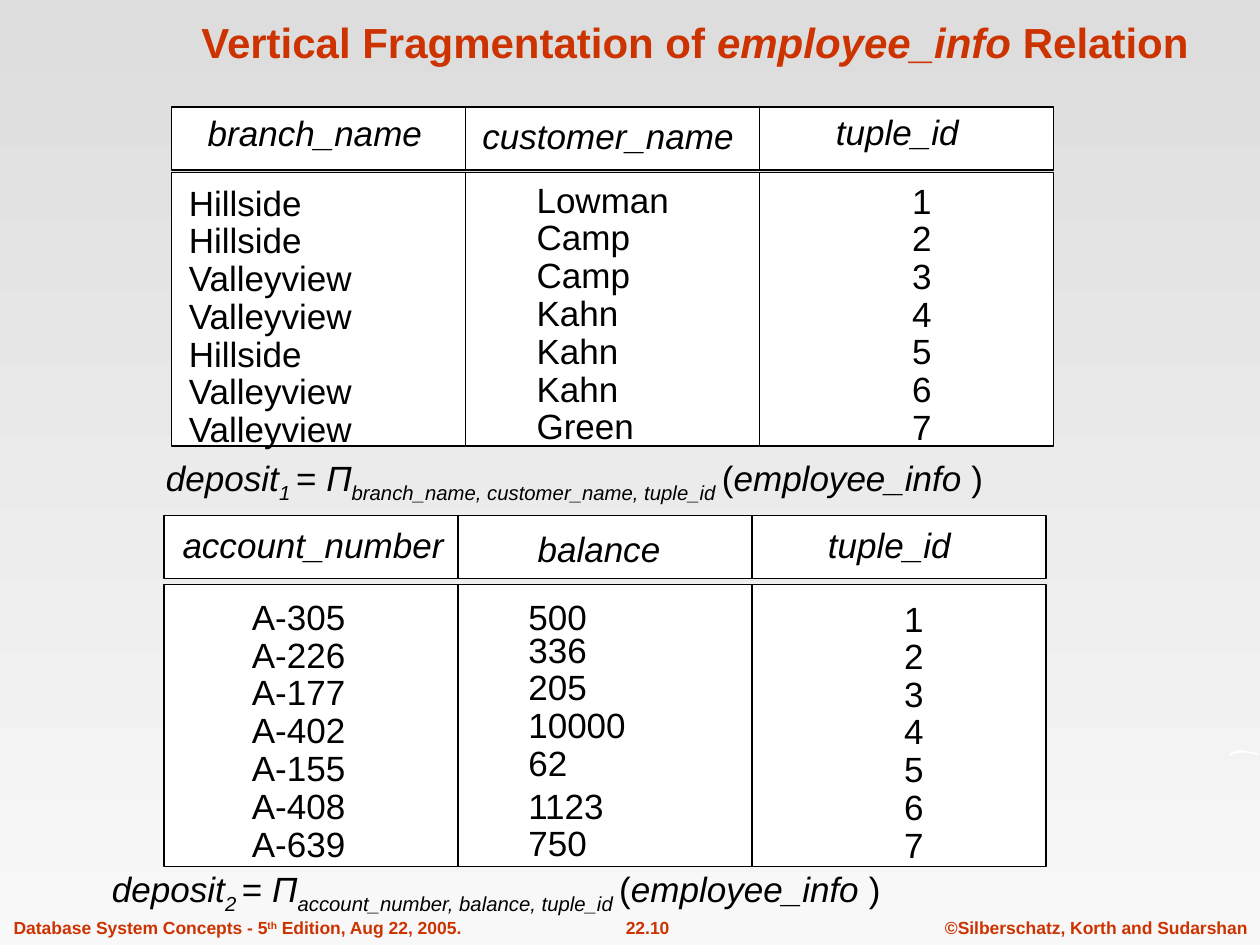
from pptx import Presentation
from pptx.util import Pt
from pptx.dml.color import RGBColor
from pptx.enum import shapes, text

RED = RGBColor(0xCC, 0x33, 0x00)
BLACK = RGBColor(0, 0, 0)
WHITE = RGBColor(0xFF, 0xFF, 0xFF)
TOP = RGBColor(0xDD, 0xDD, 0xDD)
BASE = RGBColor(0xF8, 0xF8, 0xF8)
LEFT, MID = text.PP_ALIGN.LEFT, text.PP_ALIGN.CENTER

# Content: runs are (text, italic, baseline shift in percent)
TITLE = [("Vertical Fragmentation of ", False, 0), ("employee_info ", True, 0),
         ("Relation", False, 0)]
IDS = ["1", "2", "3", "4", "5", "6", "7"]
EVEN = [1] + [0.9] * 6

# Columns: head, (x, y, width) of head, rows, (x, y, width) of rows, spacing
GRIDS = [
    {"x": 98, "head": 61.2, "body": 98.8, "high": 156.2, "cols": [
        ("branch_name", (111.6, 60, 142),
         ["Hillside", "Hillside", "Valleyview", "Valleyview", "Hillside",
          "Valleyview", "Valleyview"], (100.8, 100.2, 114), EVEN),
        ("customer_name", (268.6, 61.9, 164),
         ["Lowman", "Camp", "Camp", "Kahn", "Kahn", "Kahn", "Green"],
         (299.5, 98.6, 96), EVEN),
        ("tuple_id", (470.6, 59.8, 90), IDS, (514.1, 98.9, 30), EVEN)]},
    {"x": 93.7, "head": 294.5, "body": 333.9, "high": 161.3, "cols": [
        ("account_number", (97.2, 295.4, 170),
         ["A-305", "A-226", "A-177", "A-402", "A-155", "A-408", "A-639"],
         (136.8, 337, 74), EVEN),
        ("balance", (300.1, 297.6, 90),
         ["500", "336", "205", "10000", "62", "1123", "750"],
         (294.8, 334.1, 76), [1.1, 0.8, 0.9, 0.9, 0.9, 1, 0.9]),
        ("tuple_id", (466, 295.4, 90), IDS, (509.6, 337.7, 30), EVEN)]},
]
COL, HEAD = 168, 36

# Formulas: number, attributes, (x, y, width)
RULES = [("1", "branch_name, customer_name, tuple_id ", (87.8, 257.3, 573)),
         ("2", "account_number, balance, tuple_id ", (56.9, 492.1, 529))]

# Footer: runs, (x, y, width), alignment
FOOT = [
    ([("Database System Concepts - 5", False, 0), ("th", False, 30),
      (" Edition, Aug 22, 2005.", False, 0)], (0.7, 520.6, 272.9), LEFT),
    ([("22.10", False, 0)], (331.9, 520.6, 76.3), MID),
    ([("©Silberschatz, Korth and Sudarshan", False, 0)],
     (532.8, 520.6, 187.2), MID),
]

# Outline of the white stroke at the right edge
STROKE = [(702, 432.7), (703.4, 430.2), (706.3, 429), (709.2, 428.6),
          (714, 429.5), (718.5, 430.4), (720, 430.8), (718.5, 431.4),
          (715, 430.6), (711.5, 430), (706, 430.3), (703, 432)]


def style(run, size, color, bold=False, ital=False, shift=0):
    font = run.font
    font.name, font.size, font.bold, font.italic = "Arial", Pt(size), bold, ital
    font.color.rgb = color
    if shift:
        run._r.get_or_add_rPr().set("baseline", str(shift * 1000))


def fill_runs(para, runs, size, color, bold=False):
    for words, ital, shift in runs:
        run = para.add_run()
        run.text = words
        style(run, size, color, bold, ital, shift)


def add_box(slide, place, high, wrap=True):
    x, y, wide = place
    frame = slide.shapes.add_textbox(Pt(x), Pt(y), Pt(wide), Pt(high)).text_frame
    frame.word_wrap = wrap
    frame.auto_size = text.MSO_AUTO_SIZE.SHAPE_TO_FIT_TEXT
    return frame


def add_cell(slide, x, y, high):
    cell = slide.shapes.add_shape(shapes.MSO_SHAPE.RECTANGLE,
                                  Pt(x), Pt(y), Pt(COL), Pt(high))
    cell.shadow.inherit = False
    cell.fill.solid()
    cell.fill.fore_color.rgb = WHITE
    cell.line.color.rgb = BLACK
    cell.line.width = Pt(0.75)


def add_lines(slide, place, high, rows, gaps, ital=False):
    frame = add_box(slide, place, high)
    frame.text = "\n".join(rows)
    for para, gap in zip(frame.paragraphs, gaps):
        para.alignment, para.line_spacing = LEFT, gap
        style(para.runs[0], 20, BLACK, ital=ital)


def add_grid(slide, grid):
    for i, (name, spot, rows, place, gaps) in enumerate(grid["cols"]):
        x = grid["x"] + i * COL
        add_cell(slide, x, grid["head"], HEAD)
        add_cell(slide, x, grid["body"], grid["high"])
        add_lines(slide, spot, 31.5, [name], [1], True)
        add_lines(slide, place, 161.3, rows, gaps)


def main():
    prs = Presentation()
    prs.slide_width, prs.slide_height = Pt(720), Pt(540)
    slide = prs.slides.add_slide(prs.slide_layouts[5])

    # Background
    fill = slide.background.fill
    fill.gradient()
    fill.gradient_angle = 270
    for stop, color in zip(fill.gradient_stops, (TOP, BASE)):
        stop.color.rgb = color

    # Footer and edge stroke
    for runs, place, align in FOOT:
        para = add_box(slide, place, 19.4, False).paragraphs[0]
        para.alignment = align
        para.space_before = Pt(6.2)
        fill_runs(para, runs, 10, RED, True)
    pen = slide.shapes.build_freeform(*map(Pt, STROKE[0]))
    pen.add_line_segments([(Pt(x), Pt(y)) for x, y in STROKE[1:]])
    mark = pen.convert_to_shape()
    mark.shadow.inherit = False
    mark.fill.solid()
    mark.fill.fore_color.rgb = WHITE
    mark.line.fill.background()

    # Title
    title = slide.shapes.title
    title.left, title.top, title.width, title.height = map(Pt, (74.2, 0, 645.8, 42))
    frame = title.text_frame
    frame.vertical_anchor = text.MSO_ANCHOR.BOTTOM
    frame.auto_size = text.MSO_AUTO_SIZE.NONE
    para = frame.paragraphs[0]
    para.alignment, para.line_spacing = MID, 0.9
    fill_runs(para, TITLE, 24, RED, True)

    # Fragments and their formulas
    for grid in GRIDS:
        add_grid(slide, grid)
    for num, names, place in RULES:
        runs = [("deposit", True, 0), (num + " ", True, -25), ("= ", False, 0),
                ("Π", True, 0), (names, True, -25), ("(", False, 0),
                ("employee_info ", True, 0), (")", False, 0)]
        fill_runs(add_box(slide, place, 34.6).paragraphs[0], runs, 20, BLACK)

    prs.save("out.pptx")


if __name__ == "__main__":
    main()
